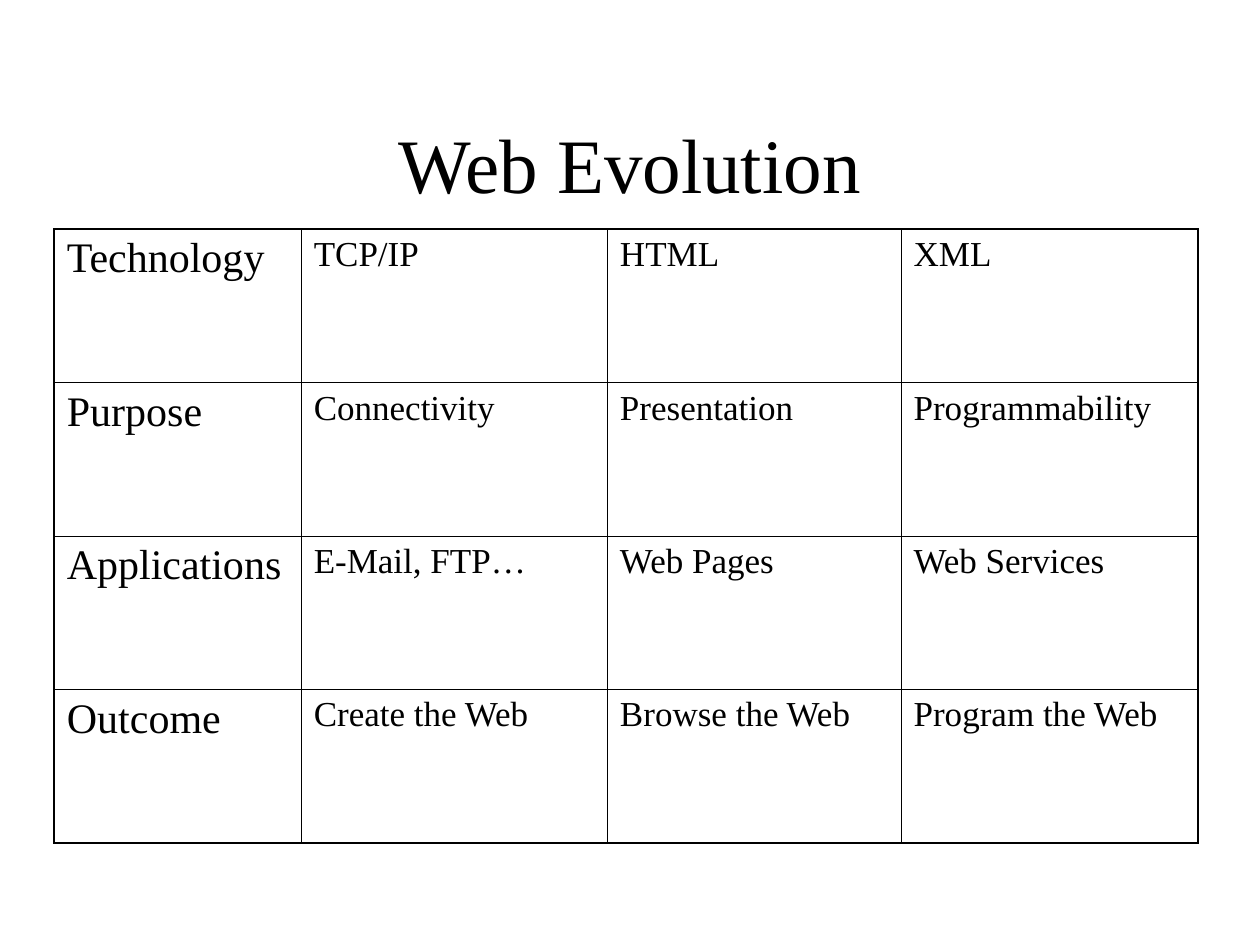
import pptx
import pptx.dml.color
import pptx.enum.text
import pptx.oxml
import pptx.oxml.ns
import pptx.util

Pt = pptx.util.Pt
BLACK = pptx.dml.color.RGBColor(0, 0, 0)
FONT = "Times New Roman"
OUTER_BORDER = 1.08
INNER_BORDER = 0.45
COLUMN_WIDTHS = [141.1, 175, 167.8, 169.9]
ROW_HEIGHT = 87.66
EVOLUTION = [
    ["Technology", "TCP/IP", "HTML", "XML"],
    ["Purpose", "Connectivity", "Presentation", "Programmability"],
    ["Applications", "E-Mail, FTP…", "Web Pages", "Web Services"],
    ["Outcome", "Create the Web", "Browse the Web", "Program the Web"],
]


def set_attributes(target, values):
    for name, value in values.items():
        setattr(target, name, value)


def write_text(frame, wording, size, alignment):
    frame.text = wording
    paragraph = frame.paragraphs[0]
    paragraph.alignment = alignment
    font = paragraph.runs[0].font
    set_attributes(font, {"name": FONT, "size": Pt(size), "bold": False})
    font.color.rgb = BLACK


def add_title(slide, wording):
    title = slide.shapes.title
    set_attributes(title, {"left": Pt(54), "top": Pt(48),
                           "width": Pt(612), "height": Pt(90)})
    set_attributes(title.text_frame, {
        "word_wrap": True,
        "vertical_anchor": pptx.enum.text.MSO_ANCHOR.MIDDLE,
    })
    write_text(title.text_frame, wording, 44, pptx.enum.text.PP_ALIGN.CENTER)


def add_border(cell, side, width):
    cell_properties = cell._tc.get_or_add_tcPr()
    cell_properties.append(pptx.oxml.parse_xml(
        f'<a:ln{side} {pptx.oxml.ns.nsdecls("a")} w="{Pt(width)}">'
        f'<a:solidFill><a:srgbClr val="{BLACK}"/></a:solidFill></a:ln{side}>'
    ))


def format_cell(cell, wording, row, column):
    write_text(cell.text_frame, wording, 20 if column else 24,
               pptx.enum.text.PP_ALIGN.LEFT)
    outer_sides = {
        "L": column == 0,
        "R": column == len(COLUMN_WIDTHS) - 1,
        "T": row == 0,
        "B": row == len(EVOLUTION) - 1,
    }
    for side, is_outer in outer_sides.items():
        add_border(cell, side, OUTER_BORDER if is_outer else INNER_BORDER)
    cell.fill.background()


def add_evolution_table(slide):
    table = slide.shapes.add_table(
        len(EVOLUTION), len(COLUMN_WIDTHS), Pt(31), Pt(131),
        Pt(sum(COLUMN_WIDTHS)), Pt(ROW_HEIGHT * len(EVOLUTION))
    ).table
    set_attributes(table, {"first_row": False, "horz_banding": False})
    for column, width in zip(table.columns, COLUMN_WIDTHS):
        column.width = Pt(width)
    for row, entries in enumerate(EVOLUTION):
        table.rows[row].height = Pt(ROW_HEIGHT)
        for column, wording in enumerate(entries):
            format_cell(table.cell(row, column), wording, row, column)


def main():
    presentation = pptx.Presentation()
    set_attributes(presentation, {"slide_width": Pt(720), "slide_height": Pt(540)})
    slide = presentation.slides.add_slide(presentation.slide_layouts[5])
    add_title(slide, "Web Evolution")
    add_evolution_table(slide)
    presentation.save("out.pptx")


if __name__ == "__main__":
    main()
